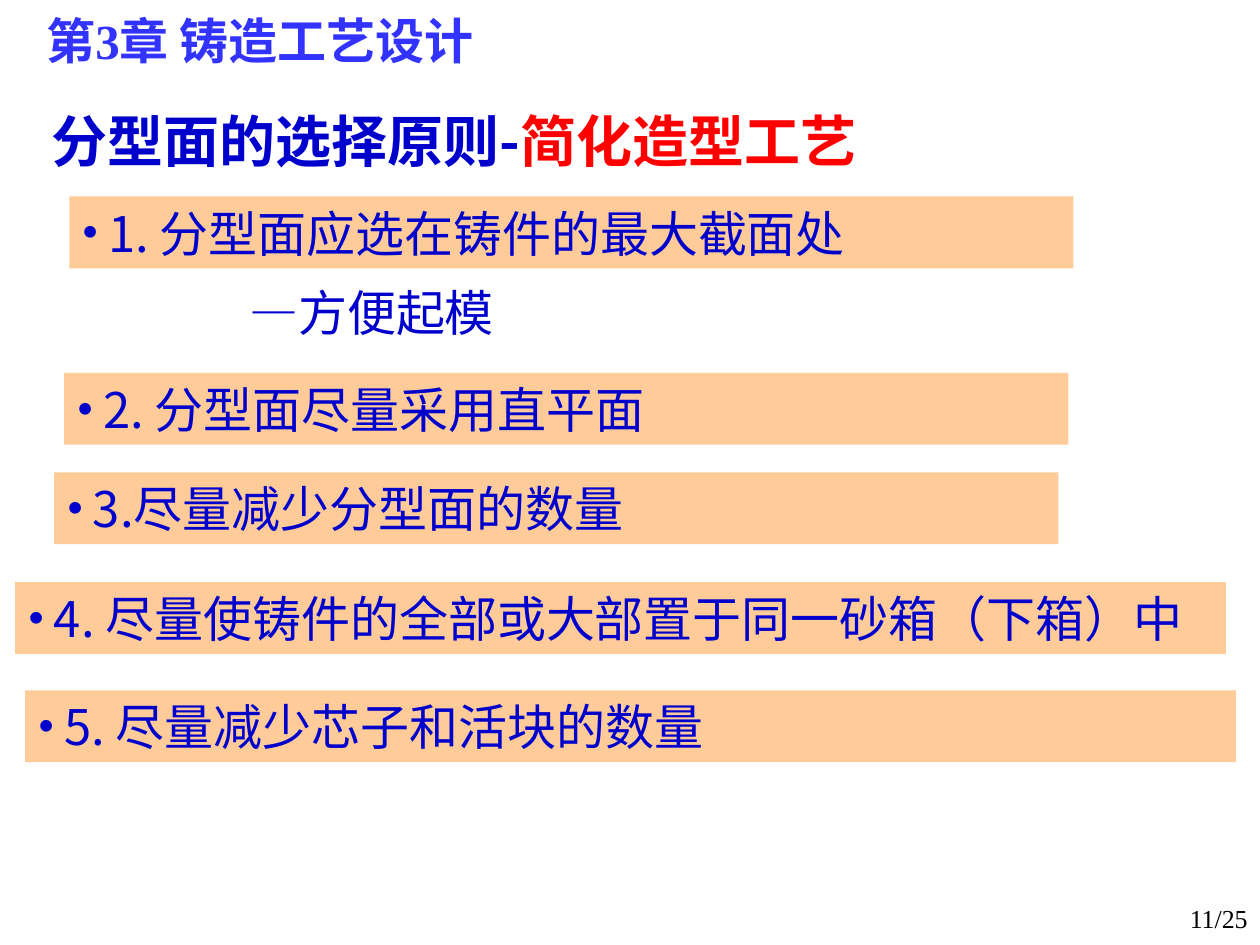
from dataclasses import dataclass
from typing import Any

from lxml import etree
from pptx import Presentation
from pptx.dml.color import RGBColor
from pptx.enum.shapes import MSO_SHAPE
from pptx.enum.text import MSO_ANCHOR, PP_ALIGN
from pptx.oxml.ns import qn
from pptx.util import Inches, Pt

RECTANGLE = MSO_SHAPE.RECTANGLE
TOP, MIDDLE, BOTTOM = MSO_ANCHOR.TOP, MSO_ANCHOR.MIDDLE, MSO_ANCHOR.BOTTOM
LEFT, RIGHT = PP_ALIGN.LEFT, PP_ALIGN.RIGHT

VIOLET = RGBColor(0x33, 0x33, 0xFF)
NAVY = RGBColor(0x00, 0x00, 0xCC)
RED = RGBColor(0xFF, 0x00, 0x00)
BLACK = RGBColor(0x00, 0x00, 0x00)
PEACH = RGBColor(0xFF, 0xCC, 0x99)
WHITE = RGBColor(0xFF, 0xFF, 0xFF)

SANS, SERIF = "Noto Sans CJK SC", "Times New Roman"
CELL = 0.1  # inches per grid column and row
BAND_ROWS = 5.7
NARROW, WIDE = 79.7, 96.1

# Left column, top row, columns wide, text
PRINCIPLES = [
    (5.5, 15.6, NARROW, "1. 分型面应选在铸件的最大截面处"),
    (5.1, 29.6, NARROW, "2. 分型面尽量采用直平面"),
    (4.3, 37.5, NARROW, "3.尽量减少分型面的数量"),
    (1.2, 46.2, WIDE, "4. 尽量使铸件的全部或大部置于同一砂箱（下箱）中"),
    (2.0, 54.8, WIDE, "5. 尽量减少芯子和活块的数量"),
]


@dataclass
class SlideBuilder:
    page: Any
    body_size: float = 28
    bullet_indent: float = 0.21

    def place(self, *cells):
        """Turn grid columns and rows into lengths."""
        return [Inches(cell * CELL) for cell in cells]

    def set_text(self, box, spans, size, font=SANS, bold=False, anchor=TOP,
                 align=LEFT, spacing=1.0, bullet=False):
        """Fill a box with one paragraph of (text, colour) spans."""
        frame = box.text_frame
        frame.word_wrap = True
        frame.vertical_anchor = anchor
        para = frame.paragraphs[0]
        if bullet:
            self.add_bullet(para)
        para.alignment = align
        para.line_spacing = spacing
        values = {"size": Pt(size), "name": font, "bold": bold}
        for text, colour in spans:
            span = para.add_run()
            span.text = text
            for name, value in values.items():
                setattr(span.font, name, value)
            span.font.color.rgb = colour
            latin = span.font._element.find(qn("a:latin"))
            latin.addnext(etree.Element(qn("a:ea"), typeface=SANS))

    def add_bullet(self, para):
        properties = para._p.get_or_add_pPr()
        indent = Inches(self.bullet_indent)
        properties.set("marL", str(indent))
        properties.set("indent", str(-indent))
        colour = etree.SubElement(properties, qn("a:buClr"))
        etree.SubElement(colour, qn("a:srgbClr"), val=str(NAVY))
        etree.SubElement(properties, qn("a:buFont"), typeface=SERIF)
        etree.SubElement(properties, qn("a:buChar"), char="•")

    def label(self, cells, spans, size, **style):
        box = self.page.shapes.add_textbox(*self.place(*cells))
        self.set_text(box, spans, size, **style)

    def band(self, left, top, columns, text, fill=PEACH, bullet=True):
        cells = self.place(left, top, columns, BAND_ROWS)
        box = self.page.shapes.add_shape(RECTANGLE, *cells)
        box.shadow.inherit = False
        box.fill.solid()
        box.fill.fore_color.rgb = fill
        box.line.fill.background()
        self.set_text(box, [(text, NAVY)], self.body_size,
                      anchor=MIDDLE, bullet=bullet)


def main():
    deck = Presentation()
    deck.slide_width, deck.slide_height = Inches(10), Inches(7.5)
    builder = SlideBuilder(deck.slides.add_slide(deck.slide_layouts[6]))

    builder.label((2.7, -1.1, 55.1, 7.1), [("第3章 铸造工艺设计", VIOLET)], 28,
                  font=SERIF, bold=True, anchor=BOTTOM)
    builder.label((82.2, 71.4, 17.8, 3.6), [("11/25", BLACK)], 14.8,
                  font=SERIF, align=RIGHT, spacing=0.9)
    builder.label((3.1, 8.6, NARROW, 12.8),
                  [("分型面的选择原则-", NAVY), ("简化造型工艺", RED)], 32,
                  bold=True, spacing=0.9)
    for principle in PRINCIPLES:
        builder.band(*principle)
    builder.band(18.8, 21.9, 68, "—方便起模", fill=WHITE, bullet=False)

    deck.save("out.pptx")


if __name__ == "__main__":
    main()
